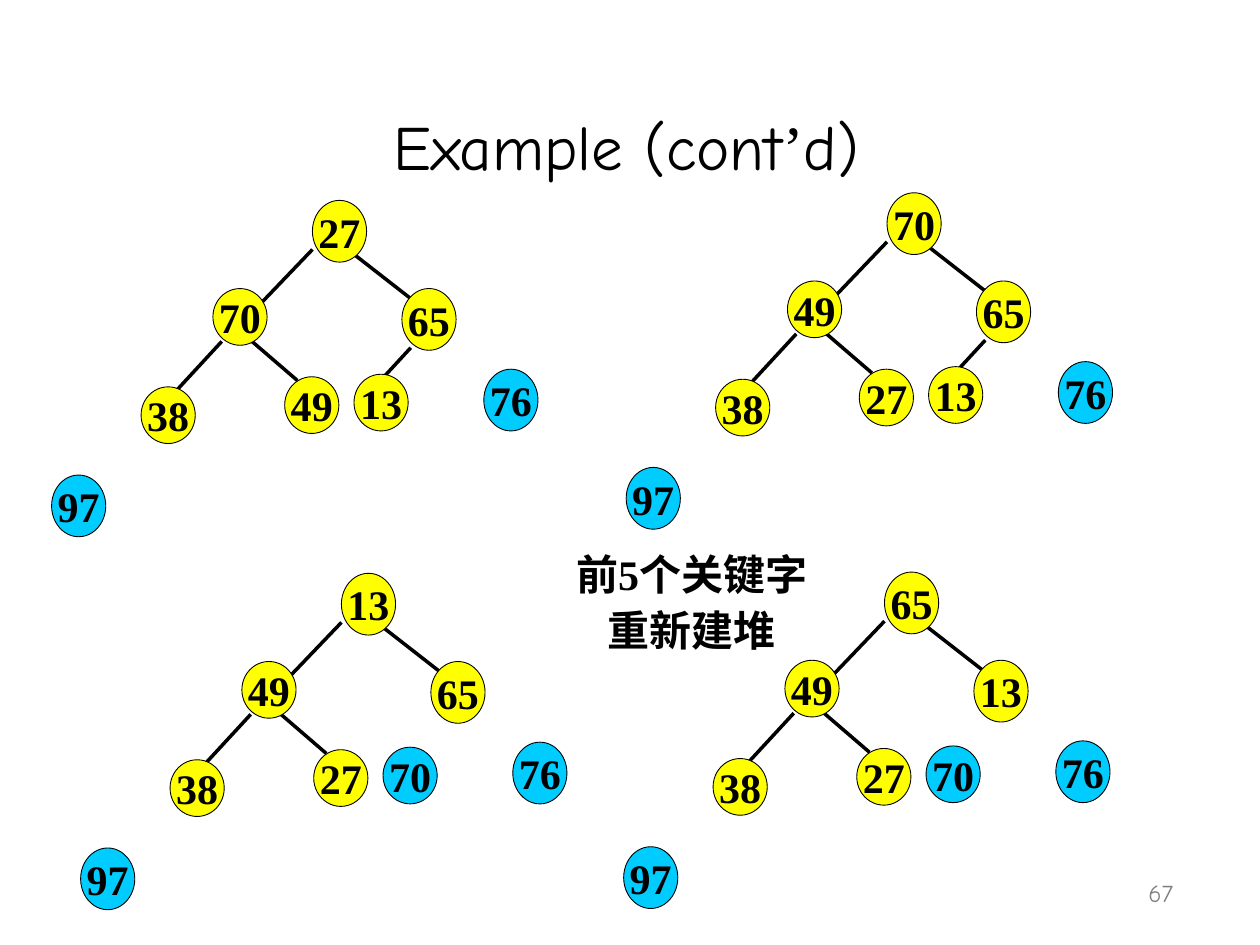
from dataclasses import dataclass

import pptx
import pptx.dml.color
import pptx.enum.shapes
import pptx.enum.text
import pptx.oxml.ns
import pptx.util
from lxml import etree
from pptx.util import Inches

ALIGN = pptx.enum.text.PP_ALIGN
ANCHOR = pptx.enum.text.MSO_ANCHOR


@dataclass(frozen=True)
class Theme:
    ink: str = "000000"
    muted: str = "808080"
    in_heap: str = "FFFF00"
    sorted_out: str = "00CCFF"
    heading_font: str = "Comic Neue"
    body_font: str = "Times New Roman"
    title_size: int = 36
    key_size: int = 24
    number_size: int = 14
    edge_width: float = 2
    outline_width: float = 0.5


THEME = Theme()

NODE_WIDTH = 0.43
TALL, SHORT = 0.49, 0.45
NODE_PLACES = [
    (2.07, 0, TALL),
    (1.28, 0.7, SHORT),
    (2.78, 0.7, TALL),
    (0.71, 1.48, SHORT),
    (1.85, 1.4, SHORT),
    (2.4, 1.38, SHORT),
    (3.43, 1.34, TALL),
    (0, 2.18, TALL),
]
EDGES = [
    (2.85, 0.78, 2.35, 0.39),
    (2.07, 0.39, 1.63, 0.85),
    (1.35, 1.12, 0.99, 1.51),
    (1.59, 1.12, 1.95, 1.43),
    (2.85, 1.17, 2.49, 1.56),
]

HEAPS = [
    (0.41, 1.59, [27, 70, 65, 38, 49, 13, 76, 97], 6),
    (4.97, 1.53, [70, 49, 65, 38, 27, 13, 76, 97], 6),
    (0.64, 4.55, [13, 49, 65, 38, 27, 70, 76, 97], 5),
    (4.95, 4.54, [65, 49, 13, 38, 27, 70, 76, 97], 5),
]


def rgb(value):
    return pptx.dml.color.RGBColor.from_string(value)


def write(frame, text, *, size, font=THEME.body_font, color=THEME.ink, bold=False,
          align=ALIGN.CENTER, anchor=ANCHOR.MIDDLE, wrap=False, gap=0, special_fonts=None):
    special_fonts = special_fonts or {}
    frame.word_wrap = wrap
    frame.auto_size = pptx.enum.text.MSO_AUTO_SIZE.NONE
    frame.vertical_anchor = anchor
    for index, line in enumerate(text.split("\n")):
        paragraph = frame.add_paragraph() if index else frame.paragraphs[0]
        paragraph.alignment = align
        paragraph.space_before = pptx.util.Pt(gap if index else 0)
        pieces = [line]
        for mark in special_fonts:
            before, found, after = line.partition(mark)
            pieces = [before, found, after]
        for piece in filter(None, pieces):
            run = paragraph.add_run()
            run.text = piece
            run.font.name = special_fonts.get(piece, font)
            run.font.size = pptx.util.Pt(size)
            run.font.bold = bold
            run.font.color.rgb = rgb(color)


def add_title(slide, left, top, width, height):
    title = slide.shapes.title
    title.left, title.top = Inches(left), Inches(top)
    title.width, title.height = Inches(width), Inches(height)
    write(title.text_frame, "Example (cont’d)", size=THEME.title_size,
          font=THEME.heading_font, anchor=ANCHOR.BOTTOM, wrap=True,
          special_fonts={"’": THEME.body_font})


def add_edge(slide, x1, y1, x2, y2):
    edge = slide.shapes.add_connector(
        pptx.enum.shapes.MSO_CONNECTOR.STRAIGHT,
        Inches(x1), Inches(y1), Inches(x2), Inches(y2))
    edge.line.color.rgb = rgb(THEME.ink)
    edge.line.width = pptx.util.Pt(THEME.edge_width)
    etree.SubElement(edge._element.spPr, pptx.oxml.ns.qn("a:effectLst"))


def add_node(slide, left, top, height, key, fill):
    node = slide.shapes.add_shape(
        pptx.enum.shapes.MSO_SHAPE.OVAL,
        Inches(left), Inches(top), Inches(NODE_WIDTH), Inches(height))
    node.shadow.inherit = False
    node.fill.solid()
    node.fill.fore_color.rgb = rgb(fill)
    node.line.color.rgb = rgb(THEME.ink)
    node.line.width = pptx.util.Pt(THEME.outline_width)
    write(node.text_frame, str(key), size=THEME.key_size, bold=True)


def add_heap(slide, left, top, keys, heap_size):
    for x1, y1, x2, y2 in EDGES[:heap_size - 1]:
        add_edge(slide, left + x1, top + y1, left + x2, top + y2)
    for index, (key, (x, y, height)) in enumerate(zip(keys, NODE_PLACES)):
        fill = THEME.in_heap if index < heap_size else THEME.sorted_out
        add_node(slide, left + x, top + y, height, key, fill)


def add_text_box(slide, left, top, width, height, text, **style):
    box = slide.shapes.add_textbox(
        Inches(left), Inches(top), Inches(width), Inches(height))
    write(box.text_frame, text, **style)


def main():
    deck = pptx.Presentation()
    deck.slide_width, deck.slide_height = Inches(10), Inches(7.5)
    slide = deck.slides.add_slide(deck.slide_layouts[5])
    add_title(slide, 0.44, 0.25, 9.06, 1.25)
    for left, top, keys, heap_size in HEAPS:
        add_heap(slide, left, top, keys, heap_size)
    add_text_box(slide, 4.9, 4.54, 1.18, 0.47, "前5个关键字\n重新建堆",
                 size=THEME.key_size, bold=True, gap=3)
    add_text_box(slide, 7.33, 6.75, 2.08, 0.5, "67", size=THEME.number_size,
                 font=THEME.heading_font, color=THEME.muted,
                 align=ALIGN.RIGHT, anchor=ANCHOR.BOTTOM, wrap=True)
    deck.save("out.pptx")


if __name__ == "__main__":
    main()
